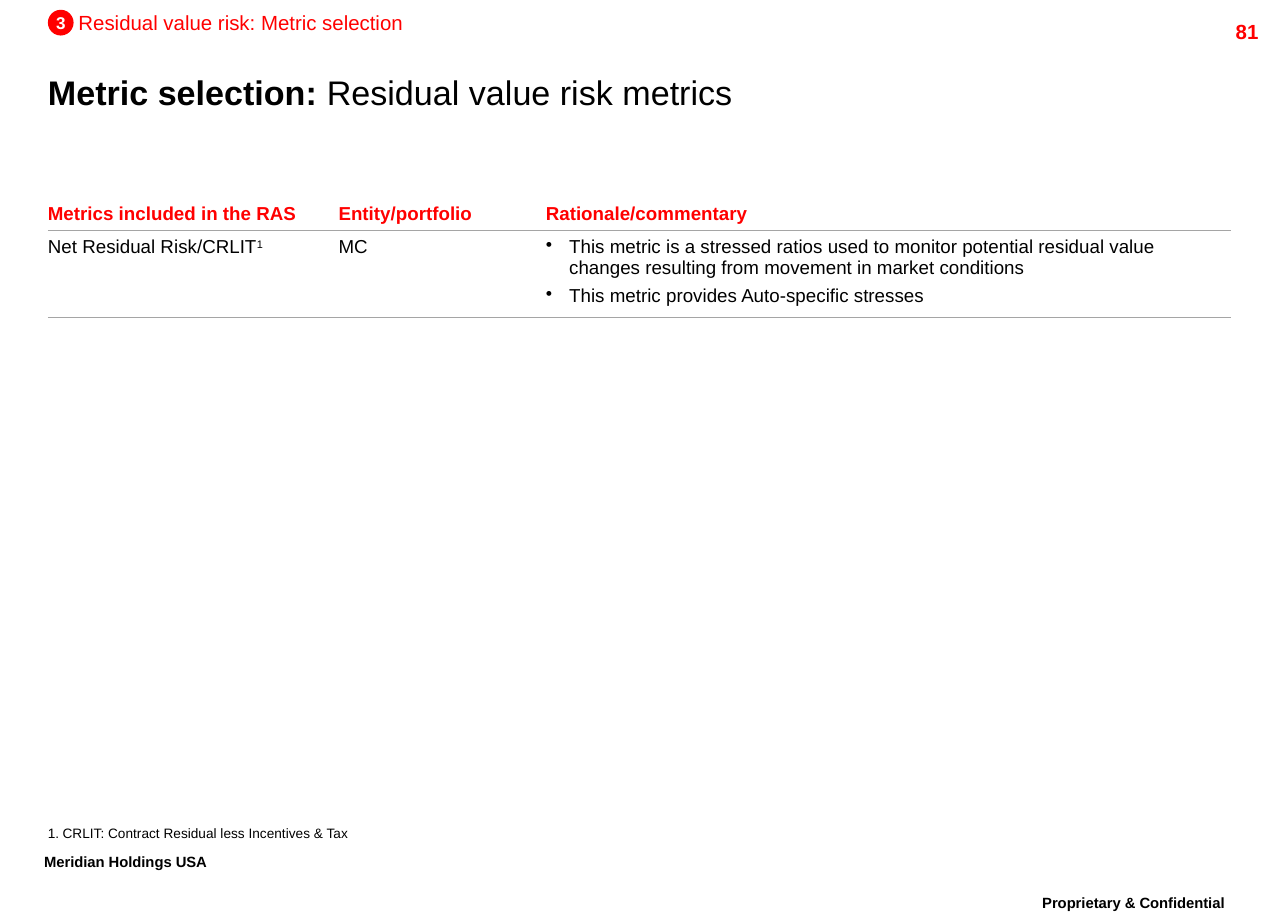
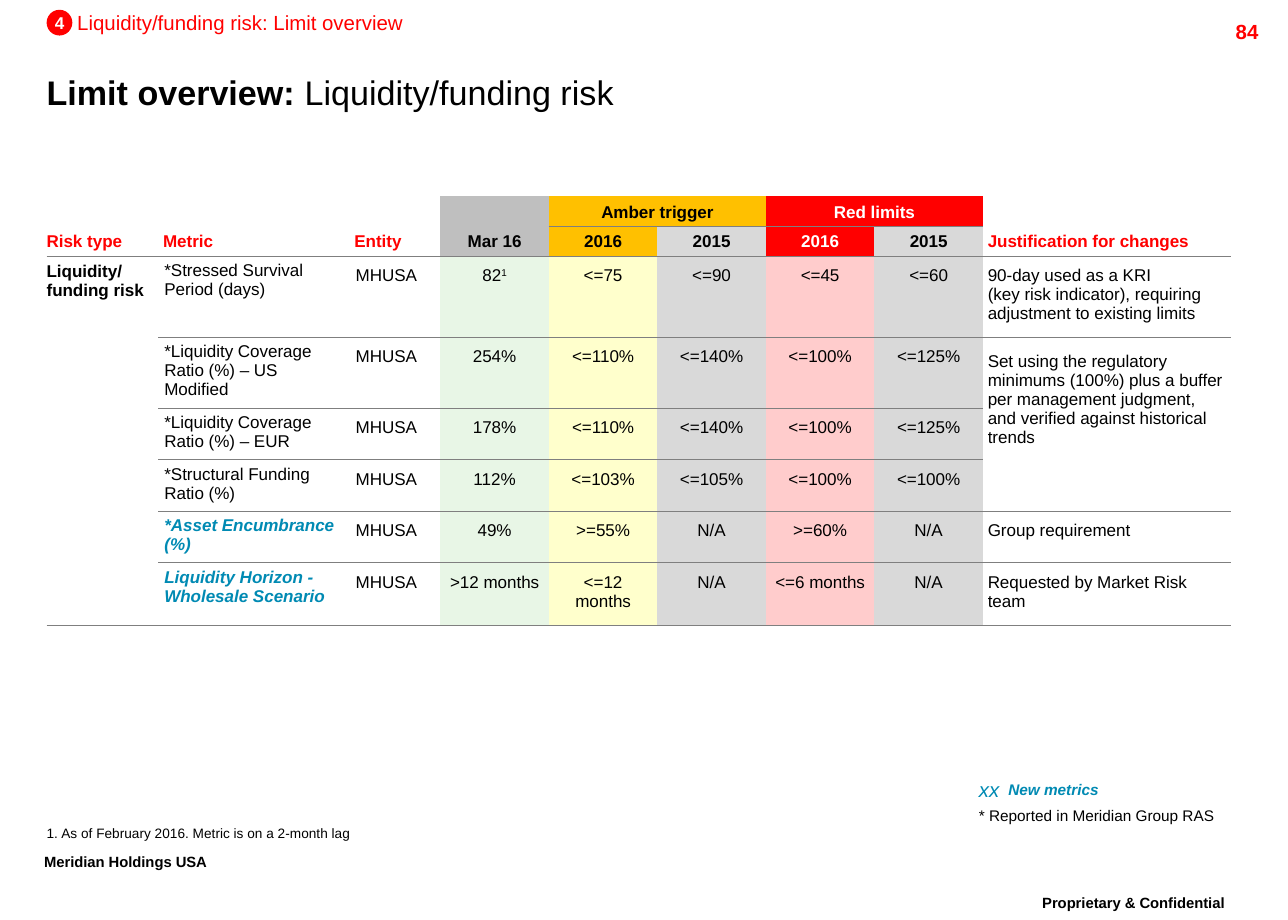
from dataclasses import dataclass, field
from lxml.etree import SubElement
from pptx import Presentation
from pptx.dml.color import RGBColor
from pptx.enum.shapes import MSO_SHAPE
from pptx.enum.text import MSO_ANCHOR, MSO_AUTO_SIZE, PP_ALIGN
from pptx.oxml import parse_xml
from pptx.oxml.ns import nsdecls, qn
from pptx.util import Inches, Pt


@dataclass(frozen=True)
class Theme:
    """Colours and type sizes shared by the slides."""
    font: str = "Arial"
    black: str = "000000"
    white: str = "FFFFFF"
    red: str = "FF0000"
    new_metric: str = "008AB3"
    amber: str = "FFC000"
    current: str = "BFBFBF"
    previous: str = "D9D9D9"
    pale_green: str = "E8F6E6"
    pale_amber: str = "FFFFCC"
    pale_red: str = "FFCCCC"
    light_rule: str = "A5A5A5"
    dark_rule: str = "7F7F7F"
    title: float = 20
    footer: float = 15
    topic: float = 12
    metrics: float = 11
    limits: float = 10
    legend: float = 9
    note: float = 8


THEME = Theme()
NO_TABLE_STYLE = "{2D5ABB26-0587-4C30-8999-92F81FD0307C}"
ENTITY = "MHUSA"


@dataclass
class Cell:
    """Content and format of one table cell."""
    paragraphs: list
    size: float
    fill: str = ""
    align: PP_ALIGN = PP_ALIGN.LEFT
    anchor: MSO_ANCHOR = MSO_ANCHOR.TOP
    insets: tuple = (0.05, 0.05, 0.05, 0.05)
    bullet: str = ""
    style: dict = field(default_factory=dict)


def set_format(target, values):
    """Set each named attribute of the target."""
    for name, value in values.items():
        setattr(target, name, value)


def write_runs(paragraph, runs, size, color=THEME.black, raised=False, **style):
    """Write (text, style) runs, turning newlines into line breaks."""
    for text, own in runs:
        look = {"color": color, "raised": raised, **style, **own}
        run_color, run_raised = look.pop("color"), look.pop("raised")
        for index, part in enumerate(text.split("\n")):
            if index:
                paragraph.add_line_break()
            run = paragraph.add_run()
            run.text = part
            set_format(run.font, {"name": THEME.font, "size": Pt(size), **look})
            run.font.color.rgb = RGBColor.from_string(run_color)
            if run_raised:
                run.font._element.set("baseline", "30000")


def set_bullet(paragraph, indent, tag, **attributes):
    """Give a paragraph a hanging bullet or number."""
    properties = paragraph._p.get_or_add_pPr()
    properties.set("marL", str(Inches(indent)))
    properties.set("indent", str(-Inches(indent)))
    SubElement(properties, qn(tag), attributes)


def set_frame(frame, anchor=MSO_ANCHOR.TOP):
    """Remove the insets and autofit of a text frame."""
    set_format(frame, {"margin_left": 0, "margin_top": 0, "margin_right": 0,
                       "margin_bottom": 0, "word_wrap": True,
                       "auto_size": MSO_AUTO_SIZE.NONE, "vertical_anchor": anchor})


def add_label(slide, box, text, size, align=PP_ALIGN.LEFT,
              anchor=MSO_ANCHOR.TOP, spacing=1.0, **style):
    """Add one line of text and return its paragraph."""
    frame = slide.shapes.add_textbox(*map(Inches, box)).text_frame
    set_frame(frame, anchor)
    paragraph = frame.paragraphs[0]
    set_format(paragraph, {"alignment": align, "line_spacing": spacing})
    write_runs(paragraph, [(text, {})], size, **style)
    return paragraph


def add_title(slide, left, lead, rest):
    """Fill the title placeholder with a bold lead and a plain rest."""
    title = slide.shapes.title
    set_format(title, {"left": Inches(left), "top": Inches(0.51),
                       "width": Inches(9.65), "height": Inches(0.48)})
    set_frame(title.text_frame, MSO_ANCHOR.MIDDLE)
    paragraph = title.text_frame.paragraphs[0]
    paragraph.alignment = PP_ALIGN.LEFT
    write_runs(paragraph, [(lead + " ", {"bold": True}), (rest, {})], THEME.title)


def add_topic(slide, left, number, topic):
    """Add the numbered topic marker above the title."""
    marker = slide.shapes.add_shape(
        MSO_SHAPE.OVAL, *map(Inches, (left, 0.08, 0.21, 0.21)))
    marker.shadow.inherit = False
    marker.fill.solid()
    marker.fill.fore_color.rgb = RGBColor.from_string(THEME.red)
    marker.line.fill.background()
    set_frame(marker.text_frame, MSO_ANCHOR.MIDDLE)
    marker.text_frame.word_wrap = False
    paragraph = marker.text_frame.paragraphs[0]
    paragraph.alignment = PP_ALIGN.CENTER
    write_runs(paragraph, [(number, {})], THEME.limits, THEME.white, bold=True)
    add_label(slide, (left + 0.25, 0.08, 4, 0.2), topic, THEME.topic, color=THEME.red)


def add_footnote(slide, left, text):
    """Add the numbered note above the footer."""
    note = add_label(slide, (left, 6.74, 6.15, 0.12), text, THEME.note,
                     anchor=MSO_ANCHOR.BOTTOM, spacing=0.86)
    set_bullet(note, 0.12, "a:buAutoNum", type="arabicPeriod")


def start_slide(deck, left, page, number, topic, title, note):
    """Add a slide with everything that all slides share."""
    slide = deck.slides.add_slide(deck.slide_layouts[5])
    footer = {"size": THEME.footer, "spacing": 0.86, "bold": True, "raised": True}
    add_label(slide, (8.15, 7.3, 2.18, 0.2), "Proprietary & Confidential",
              align=PP_ALIGN.CENTER, **footer)
    add_label(slide, (0.36, 6.96, 3, 0.2), "Meridian Holdings USA", **footer)
    add_label(slide, (9.26, 0.16, 1, 0.2), page, THEME.topic,
              PP_ALIGN.RIGHT, color=THEME.red, bold=True)
    add_topic(slide, left, number, topic)
    add_title(slide, left, *title)
    add_footnote(slide, left, note)
    return slide


def fill_cell(target, cell):
    """Write and format one table cell."""
    left, top, right, bottom = map(Inches, cell.insets)
    set_format(target, {"margin_left": left, "margin_top": top,
                        "margin_right": right, "margin_bottom": bottom,
                        "vertical_anchor": cell.anchor})
    for index, runs in enumerate(cell.paragraphs):
        frame = target.text_frame
        paragraph = frame.add_paragraph() if index else frame.paragraphs[0]
        paragraph.alignment = cell.align
        if index:
            paragraph.space_before = Pt(4.2)
        if cell.bullet:
            set_bullet(paragraph, 0.19, "a:buChar", char=cell.bullet)
        write_runs(paragraph, runs, cell.size, **cell.style)
    if cell.fill:
        target.fill.solid()
        target.fill.fore_color.rgb = RGBColor.from_string(cell.fill)
    else:
        target.fill.background()


def rule_below(target, color):
    """Draw a thin line under a table cell."""
    target._tc.get_or_add_tcPr().insert(0, parse_xml(
        f'<a:lnB {nsdecls("a")} w="{Pt(0.75)}"><a:solidFill>'
        f'<a:srgbClr val="{color}"/></a:solidFill></a:lnB>'))


def add_grid(slide, left, widths, heights, rows, rule, merges=()):
    """Add a ruled table; None marks a cell covered by a merge."""
    frame = slide.shapes.add_table(
        len(heights), len(widths),
        *map(Inches, (left, 1.6, sum(widths), sum(heights))))
    table = frame.table
    set_format(table, {"first_row": False, "horz_banding": False})
    for style_id in frame._element.iter(qn("a:tableStyleId")):
        style_id.text = NO_TABLE_STYLE
    for column, width in zip(table.columns, widths):
        column.width = Inches(width)
    for row, height in zip(table.rows, heights):
        row.height = Inches(height)
    unruled = set()
    for (top, first), (bottom, last) in merges:
        table.cell(top, first).merge(table.cell(bottom, last))
        unruled |= {(row, first) for row in range(top + 1, bottom)}
    for r, row in enumerate(rows):
        for c, cell in enumerate(row):
            if cell:
                fill_cell(table.cell(r, c), cell)
            if (r, c) not in unruled:
                rule_below(table.cell(r, c), rule)


def add_metrics(slide, left):
    """Add the table of residual value metrics."""
    def metric_cell(*paragraphs, first=False, **options):
        """Make a cell, flush left in the first column."""
        insets = (0 if first else 0.05, 0.05, 0.05, 0.05)
        return Cell(list(paragraphs), THEME.metrics, insets=insets, **options)

    heads = ["Metrics included in the RAS", "Entity/portfolio", "Rationale/commentary"]
    header = [metric_cell([(head, {})], first=not index, anchor=MSO_ANCHOR.BOTTOM,
                          style={"color": THEME.red, "bold": True})
              for index, head in enumerate(heads)]
    body = [
        metric_cell([("Net Residual Risk/CRLIT", {}), ("1", {"raised": True})], first=True),
        metric_cell([("MC", {})]),
        metric_cell(
            [("This metric is a stressed ratios used to monitor potential residual value "
              "changes resulting from movement in market conditions", {})],
            [("This metric provides Auto-specific stresses", {})], bullet="•"),
    ]
    add_grid(slide, left, [2.32, 1.69, 5.64], [0.28, 0.71], [header, body],
             THEME.light_rule)


def head_cell(text, fill="", color=THEME.red, align=PP_ALIGN.CENTER, inset=0.04):
    """Make a header cell of the limits table."""
    return Cell([[(text, {})]], THEME.limits, fill, align, MSO_ANCHOR.BOTTOM,
                (inset, 0.04, 0.04, 0.04), style={"color": color, "bold": True})


def limit_row(metric, values, reason=None, risk=None, is_new=False, reason_top=0.08):
    """Make one metric row of the limits table."""
    fills = [THEME.pale_green, THEME.pale_amber, THEME.previous,
             THEME.pale_red, THEME.previous]
    new_style = {"color": THEME.new_metric, "bold": True, "italic": True}
    size, insets = THEME.limits, (0.05, 0.08, 0.05, 0.08)
    runs = [[(value, {})] for value in values]
    if risk:
        runs[0].append(("1", {"raised": True}))
    return [
        risk and Cell([[(risk, {})]], size, insets=(0, 0.05, 0.05, 0.05),
                      style={"bold": True}),
        Cell([[(metric, {})]], size, insets=(0.05, 0.04, 0.08, 0.04),
             style=new_style if is_new else {}),
        Cell([[(ENTITY, {})]], size, insets=insets),
        *(Cell([value], size, fill, PP_ALIGN.CENTER, insets=insets)
          for value, fill in zip(runs, fills)),
        reason and Cell([[(reason, {})]], size,
                        insets=(0.04, reason_top, 0.04, reason_top)),
    ]


def add_limits(slide, left):
    """Add the table of liquidity limits."""
    black, white, start = THEME.black, THEME.white, PP_ALIGN.LEFT
    rows = [
        [head_cell("Risk type", align=start, inset=0), head_cell("Metric", align=start),
         head_cell("Entity", align=start), head_cell("Mar 16", THEME.current, black),
         head_cell("Amber trigger", THEME.amber, black), None,
         head_cell("Red limits", THEME.red, white), None,
         head_cell("Justification for changes", align=start)],
        [None] * 4 + [head_cell("2016", THEME.amber, black),
                      head_cell("2015", THEME.previous, black),
                      head_cell("2016", THEME.red, white),
                      head_cell("2015", THEME.previous, black), None],
        limit_row("*Stressed Survival Period (days)", ["82", "<=75", "<=90", "<=45", "<=60"],
                  "90-day used as a KRI\n(key risk indicator), requiring adjustment "
                  "to existing limits", risk="Liquidity/ funding risk"),
        limit_row("*Liquidity Coverage Ratio (%) – US Modified",
                  ["254%", "<=110%", "<=140%", "<=100%", "<=125%"],
                  "Set using the regulatory minimums (100%) plus a buffer per management "
                  "judgment, and verified against historical trends", reason_top=0.12),
        limit_row("*Liquidity Coverage Ratio (%) – EUR",
                  ["178%", "<=110%", "<=140%", "<=100%", "<=125%"]),
        limit_row("*Structural Funding Ratio (%)",
                  ["112%", "<=103%", "<=105%", "<=100%", "<=100%"]),
        limit_row("*Asset Encumbrance (%)", ["49%", ">=55%", "N/A", ">=60%", "N/A"],
                  "Group requirement", is_new=True),
        limit_row("Liquidity Horizon - Wholesale Scenario",
                  [">12 months", "<=12 months", "N/A", "<=6 months", "N/A"],
                  "Requested by Market Risk team", is_new=True),
    ]
    merges = [((0, c), (1, c)) for c in (0, 1, 2, 3, 8)]
    merges += [((0, 4), (0, 5)), ((0, 6), (0, 7)), ((2, 0), (7, 0)), ((3, 8), (5, 8))]
    add_grid(slide, left, [0.91, 1.56, 0.74] + [0.885] * 5 + [2.02],
             [0.25, 0.24, 0.66, 0.58, 0.42, 0.42, 0.42, 0.51],
             rows, THEME.dark_rule, merges)


def add_legend(slide):
    """Explain the marks used in the limits table."""
    new = {"color": THEME.new_metric, "italic": True}
    add_label(slide, (7.98, 6.34, 0.22, 0.19), "xx", THEME.topic,
              anchor=MSO_ANCHOR.MIDDLE, **new)
    add_label(slide, (8.22, 6.36, 1, 0.13), "New metrics", THEME.legend, bold=True, **new)
    add_label(slide, (7.98, 6.57, 2.3, 0.13), "* Reported in Meridian Group RAS", THEME.legend)


def main():
    """Build and save the two slides."""
    deck = Presentation()
    set_format(deck, {"slide_width": Inches(10.5), "slide_height": Inches(7.5)})
    metrics = start_slide(deck, 0.39, "81", "3", "Residual value risk: Metric selection",
                          ("Metric selection:", "Residual value risk metrics"),
                          "CRLIT: Contract Residual less Incentives & Tax")
    add_metrics(metrics, 0.39)
    limits = start_slide(deck, 0.38, "84", "4", "Liquidity/funding risk: Limit overview",
                         ("Limit overview:", "Liquidity/funding risk"),
                         "As of February 2016. Metric is on a 2-month lag")
    add_limits(limits, 0.38)
    add_legend(limits)
    deck.save("out.pptx")


if __name__ == "__main__":
    main()
